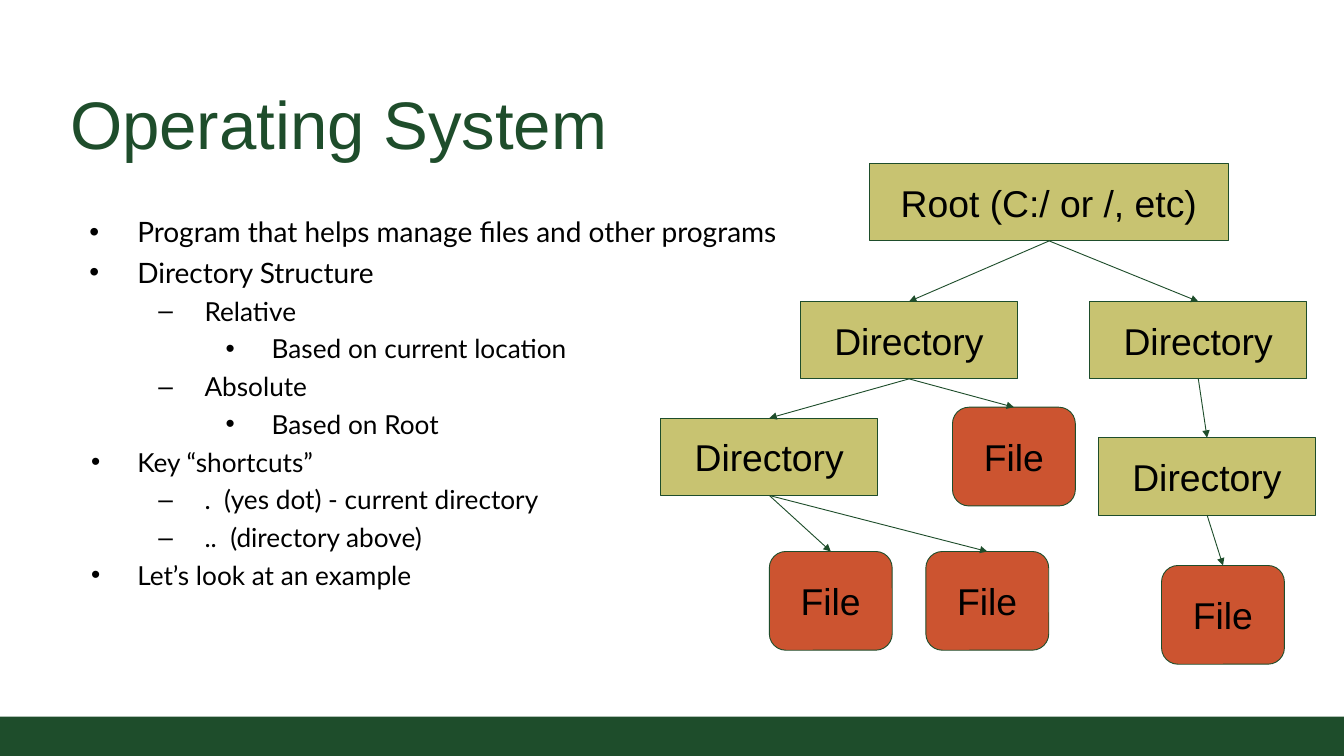
import pptx
import pptx.dml.color
import pptx.enum.shapes
import pptx.enum.text
import pptx.oxml
import pptx.oxml.ns
import pptx.util
from pptx.util import Cm

GREEN, OLIVE, RUST, BLACK = "1E4D2B", "C8C371", "CC5430", "000000"
SHAPES = pptx.enum.shapes.MSO_SHAPE
ANCHOR = pptx.enum.text.MSO_ANCHOR
ALIGN = pptx.enum.text.PP_ALIGN


def color(value):
    return pptx.dml.color.RGBColor.from_string(value)


def append_xml(parent, tag, **attributes):
    element = pptx.oxml.parse_xml(f"<a:{tag} {pptx.oxml.ns.nsdecls('a')}/>")
    for name, value in attributes.items():
        element.set(name, value)
    parent.append(element)
    return element


def write(paragraph, text, font="Arial", size=30.2, fill=BLACK, align=ALIGN.LEFT):
    paragraph.alignment = align
    run = paragraph.add_run()
    run.text = text
    run.font.name = font
    run.font.size = pptx.util.Pt(size)
    run.font.color.rgb = color(fill)


class DirectorySlide:
    def __init__(self, presentation):
        self.width, self.height = presentation.slide_width, presentation.slide_height
        self.slide = presentation.slides.add_slide(presentation.slide_layouts[1])
        self.shapes = self.slide.shapes
        self.slide.background.fill.solid()
        self.slide.background.fill.fore_color.rgb = color("FFFFFF")

    def frame(self, shape, inset, anchor):
        frame = shape.text_frame
        frame.word_wrap = True
        frame.auto_size = pptx.enum.text.MSO_AUTO_SIZE.NONE
        frame.vertical_anchor = anchor
        frame.margin_left = frame.margin_right = Cm(inset)
        frame.margin_top = frame.margin_bottom = Cm(inset)
        return frame

    def place(self, shape, left, top, width, height):
        shape.left, shape.top = Cm(left), Cm(top)
        shape.width, shape.height = Cm(width), Cm(height)

    def title(self, text):
        shape = self.shapes.title
        self.place(shape, 1.75, 2.08, 34.9, 2.82)
        frame = self.frame(shape, 0.25, ANCHOR.BOTTOM)
        write(frame.paragraphs[0], text, size=54.4, fill=GREEN)

    def bullets(self, items):
        shape = self.slide.placeholders[1]
        self.place(shape, 1.75, 5.69, 34.9, 14.25)
        frame = self.frame(shape, 0.25, ANCHOR.TOP)
        for index, (level, size, text) in enumerate(items):
            paragraph = frame.add_paragraph() if index else frame.paragraphs[0]
            paragraph.level = level
            paragraph.line_spacing = 1.2
            paragraph.space_before = paragraph.space_after = pptx.util.Pt(0)
            properties = paragraph._p.get_or_add_pPr()
            properties.set("marL", str(Cm(1.92 * (level + 1))))
            properties.set("indent", str(-Cm(1.37 if size > 22 else 1.32)))
            append_xml(append_xml(properties, "buClr"), "srgbClr", val=BLACK)
            append_xml(properties, "buFont", typeface="Arial")
            append_xml(properties, "buChar", char="–" if level == 1 else "•")
            write(paragraph, text, font="Lato", size=size)

    def box(self, kind, left, top, width, height, fill):
        shape = self.shapes.add_shape(kind, left, top, width, height)
        shape.shadow.inherit = False
        shape.fill.solid()
        shape.fill.fore_color.rgb = color(fill)
        return shape

    def footer_bar(self):
        top = Cm(20.47)
        bar = self.box(SHAPES.RECTANGLE, 0, top, self.width, self.height - top, GREEN)
        bar.line.fill.background()

    def node(self, text, left, top, width, height, kind, fill):
        shape = self.box(kind, Cm(left), Cm(top), Cm(width), Cm(height), fill)
        shape.line.color.rgb = color(GREEN)
        shape.line.width = pptx.util.Pt(0.75)
        frame = self.frame(shape, 0.38, ANCHOR.MIDDLE)
        write(frame.paragraphs[0], text, align=ALIGN.CENTER)
        return shape

    def directory(self, left, top, text="Directory", width=6.2):
        return self.node(text, left, top, width, 2.21, SHAPES.RECTANGLE, OLIVE)

    def file(self, left, top):
        return self.node("File", left, top, 3.51, 2.82, SHAPES.ROUNDED_RECTANGLE, RUST)

    def arrow(self, parent, child):
        connector = self.shapes.add_connector(
            pptx.enum.shapes.MSO_CONNECTOR.STRAIGHT, 0, 0, 0, 0)
        connector.begin_connect(parent, 2)
        connector.end_connect(child, 0)
        connector.line.color.rgb = color(GREEN)
        connector.line.width = pptx.util.Pt(0.75)
        append_xml(connector.line._get_or_add_ln(), "tailEnd", type="triangle")
        append_xml(connector._element.spPr, "effectLst")


def main():
    presentation = pptx.Presentation()
    presentation.slide_width, presentation.slide_height = Cm(38.38), Cm(21.59)
    page = DirectorySlide(presentation)
    page.footer_bar()
    page.title("Operating System")
    page.bullets([
        (0, 22.7, "Program that helps manage files and other programs"),
        (0, 22.7, "Directory Structure"),
        (1, 21.2, "Relative"),
        (2, 21.2, "Based on current location"),
        (1, 21.2, "Absolute"),
        (2, 21.2, "Based on Root"),
        (0, 21.2, "Key “shortcuts”"),
        (1, 21.2, ".  (yes dot) - current directory"),
        (1, 21.2, "..  (directory above)"),
        (0, 21.2, "Let’s look at an example"),
    ])

    root = page.directory(24.84, 4.67, "Root (C:/ or /, etc)", 10.24)
    left_directory = page.directory(22.86, 8.61)
    right_directory = page.directory(31.12, 8.61)
    left_child = page.directory(18.87, 11.94)
    right_child = page.directory(31.37, 12.5)
    branches = [
        (root, [left_directory, right_directory]),
        (left_directory, [left_child, page.file(27.2, 11.63)]),
        (right_directory, [right_child]),
        (left_child, [page.file(21.97, 15.75), page.file(26.44, 15.75)]),
        (right_child, [page.file(33.17, 16.15)]),
    ]
    for parent, children in branches:
        for child in children:
            page.arrow(parent, child)

    presentation.save("out.pptx")


if __name__ == "__main__":
    main()
